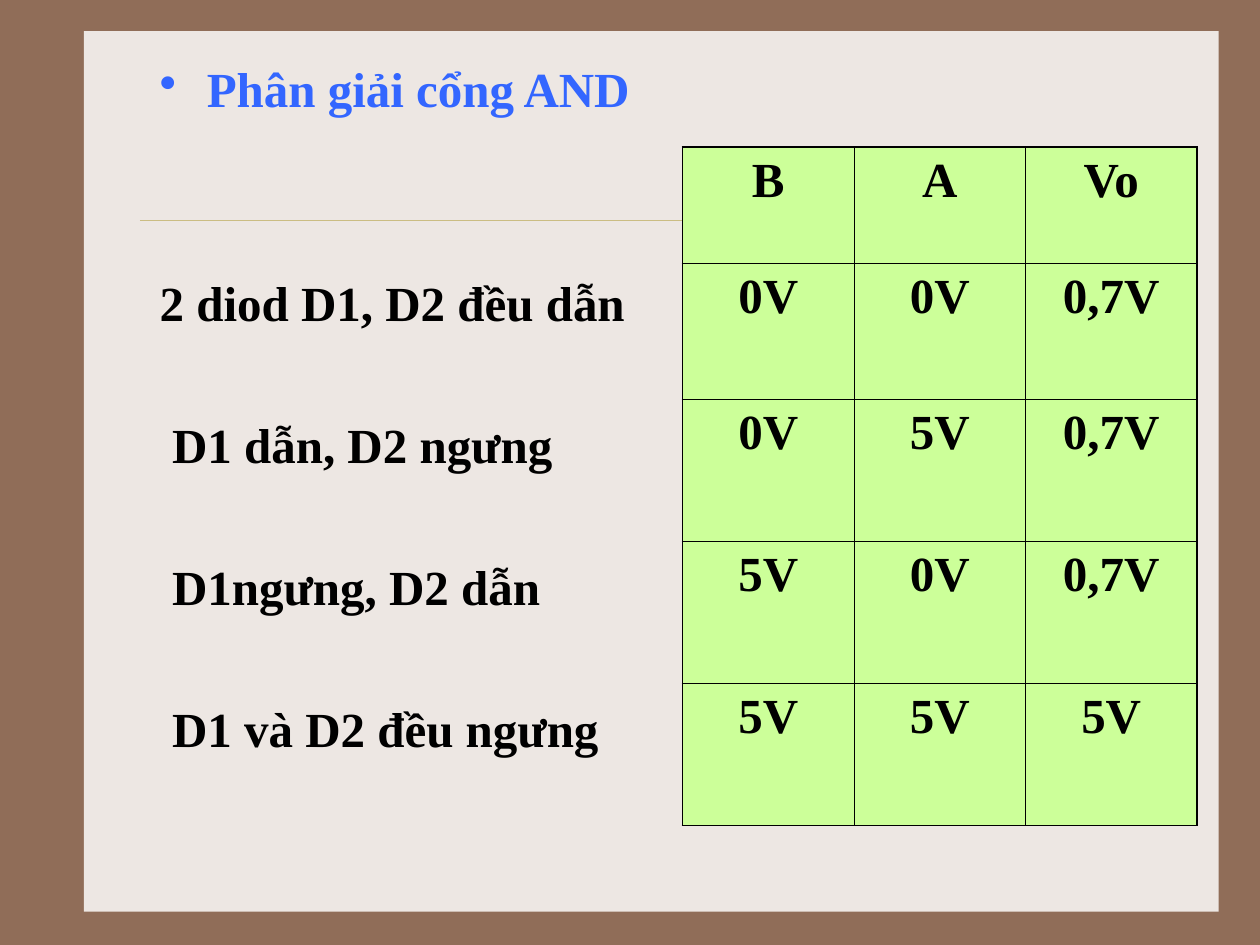
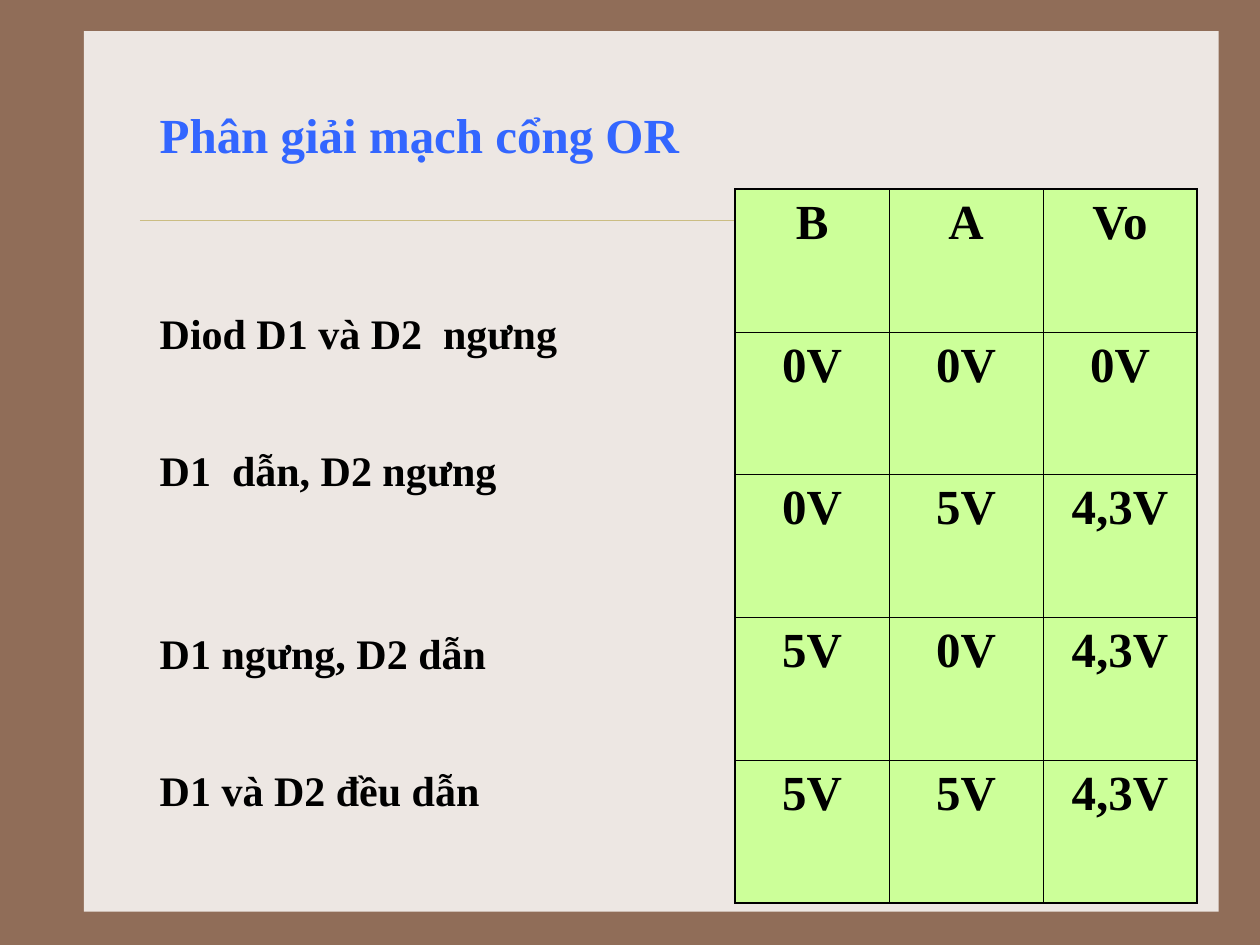
from dataclasses import dataclass

from lxml.etree import SubElement
from pptx import Presentation
from pptx.dml.color import RGBColor as Rgb
from pptx.enum.shapes import MSO_CONNECTOR as Connector, MSO_SHAPE as Shape
from pptx.enum.text import PP_ALIGN as Align
from pptx.oxml.ns import qn
from pptx.util import Cm, Pt


@dataclass(frozen=True)
class Theme:
    font: str = "Times New Roman"
    backdrop: str = "906D58"
    panel: str = "EDE7E3"
    rule: str = "CBBD83"
    title: str = "3366FF"
    ink: str = "000000"
    cell: str = "CCFF99"
    title_size: int = 28
    cell_size: int = 28
    leading: float = 1.2
    rule_width: float = 0.25
    outer_border: float = 1.08
    inner_border: float = 0.45
    pad_x: float = 0.25
    pad_y: float = 0.13


@dataclass(frozen=True)
class Box:
    """A region of the slide, in centimetres."""
    left: float
    top: float
    width: float
    height: float

    def place(self):
        return [Cm(n) for n in (self.left, self.top, self.width, self.height)]


THEME = Theme()
PANEL = Box(1.69, 0.63, 22.88, 17.75)

# Each note is (wording, points of space above it, left indent in cm).
GATES = [
    {
        "title": "Phân giải cổng AND",
        "bullet": True,
        "notes_box": Box(2.97, 1.06, 10.37, 15.24),
        "title_drop": 0,
        "note_size": 28,
        "notes": [
            ("2 diod D1, D2 đều dẫn", 88.3, 0),
            ("D1 dẫn, D2 ngưng", 47.5, 0.25),
            ("D1ngưng, D2 dẫn", 47.5, 0.25),
            ("D1 và D2 đều ngưng", 47.5, 0.25),
        ],
        "table_box": Box(13.76, 2.97, 10.37, 13.67),
        "row_heights": [2.33, 2.76, 2.86, 2.86, 2.86],
        "outputs": ["0,7V", "0,7V", "0,7V", "5V"],
    },
    {
        "title": "Phân giải mạch cổng OR",
        "bullet": False,
        "notes_box": Box(2.97, 0.85, 21.59, 16.51),
        "title_drop": 1.12,
        "note_size": 24,
        "notes": [
            ("Diod D1 và D2  ngưng", 82.4, 0),
            ("D1  dẫn, D2 ngưng", 49.6, 0),
            ("D1 ngưng, D2 dẫn", 75.8, 0),
            ("D1 và D2 đều dẫn", 49.6, 0),
        ],
        "table_box": Box(14.82, 3.81, 9.31, 14.4),
        "row_heights": [2.88] * 5,
        "outputs": ["0V", "4,3V", "4,3V", "4,3V"],
    },
]
INPUTS = [("0V", "0V"), ("0V", "5V"), ("5V", "0V"), ("5V", "5V")]


def apply(target, formats):
    for name, value in formats.items():
        setattr(target, name, value)


def style_font(font, size, color):
    apply(font, {"name": THEME.font, "size": Pt(size), "bold": True})
    font.color.rgb = Rgb.from_string(color)


def add_frame(slide, box):
    """Draw the pale panel and the hairline that crosses it."""
    panel = slide.shapes.add_shape(Shape.RECTANGLE, *box.place())
    panel.shadow.inherit = False
    panel.fill.solid()
    panel.fill.fore_color.rgb = Rgb.from_string(THEME.panel)
    panel.line.fill.background()

    y = Cm(box.top + 3.81)
    rule = slide.shapes.add_connector(
        Connector.STRAIGHT, Cm(box.left + 1.13), y, Cm(box.left + box.width - 0.44), y)
    rule.line.width = Pt(THEME.rule_width)
    rule.line.color.rgb = Rgb.from_string(THEME.rule)
    SubElement(rule._element.spPr, qn("a:effectLst"))


def set_indent(paragraph, left, first=0):
    properties = paragraph._p.get_or_add_pPr()
    properties.set("marL", str(Cm(left)))
    properties.set("indent", str(Cm(first)))
    return properties


def write_line(paragraph, wording, size, color):
    paragraph.text = wording
    paragraph.line_spacing = Pt(size * THEME.leading)
    style_font(paragraph.font, size, color)
    style_font(paragraph.runs[0].font, size, color)


def add_notes(slide, box, gate):
    """Write the title and, below it, the diode state for each table row."""
    frame = slide.shapes.add_textbox(*box.place()).text_frame
    apply(frame, {
        "word_wrap": True,
        "margin_left": Cm(THEME.pad_x),
        "margin_right": Cm(THEME.pad_x),
        "margin_top": Cm(THEME.pad_y + gate["title_drop"]),
        "margin_bottom": Cm(THEME.pad_y),
    })
    title = frame.paragraphs[0]
    if gate["bullet"]:
        properties = set_indent(title, 0.95, -0.95)
        SubElement(properties, qn("a:buChar"), char="•")
    write_line(title, gate["title"], THEME.title_size, THEME.title)

    for wording, gap, indent in gate["notes"]:
        note = frame.add_paragraph()
        set_indent(note, indent)
        write_line(note, wording, gate["note_size"], THEME.ink)
        note.space_before = Pt(gap)


def add_borders(cell, outer_sides):
    properties = cell._tc.get_or_add_tcPr()
    for side, is_outer in outer_sides.items():
        width = THEME.outer_border if is_outer else THEME.inner_border
        border = SubElement(properties, qn(f"a:ln{side}"), w=str(Pt(width)))
        fill = SubElement(border, qn("a:solidFill"))
        SubElement(fill, qn("a:srgbClr"), val=THEME.ink)


def add_truth_table(slide, box, row_heights, outputs):
    rows = [("B", "A", "Vo")]
    rows += [(*pair, output) for pair, output in zip(INPUTS, outputs)]
    last_row, last_column = len(rows) - 1, len(rows[0]) - 1
    table = slide.shapes.add_table(len(rows), len(rows[0]), *box.place()).table
    apply(table, {"first_row": False, "horz_banding": False})
    for column in table.columns:
        column.width = Cm(box.width / len(rows[0]))
    for row, height in zip(table.rows, row_heights):
        row.height = Cm(height)

    for r, values in enumerate(rows):
        for c, value in enumerate(values):
            cell = table.cell(r, c)
            add_borders(cell, {"L": c == 0, "R": c == last_column,
                               "T": r == 0, "B": r == last_row})
            cell.fill.solid()
            cell.fill.fore_color.rgb = Rgb.from_string(THEME.cell)
            apply(cell, {"margin_left": Cm(THEME.pad_x), "margin_right": Cm(THEME.pad_x),
                         "margin_top": Cm(THEME.pad_y), "margin_bottom": Cm(THEME.pad_y)})
            paragraph = cell.text_frame.paragraphs[0]
            paragraph.text = value
            paragraph.alignment = Align.CENTER
            style_font(paragraph.runs[0].font, THEME.cell_size, THEME.ink)


def add_gate_slide(deck, gate):
    slide = deck.slides.add_slide(deck.slide_layouts[6])
    add_frame(slide, PANEL)
    add_notes(slide, gate["notes_box"], gate)
    add_truth_table(slide, gate["table_box"], gate["row_heights"], gate["outputs"])


def main():
    deck = Presentation()
    apply(deck, {"slide_width": Cm(25.4), "slide_height": Cm(19.05)})
    backdrop = deck.slide_master.background.fill
    backdrop.solid()
    backdrop.fore_color.rgb = Rgb.from_string(THEME.backdrop)
    for gate in GATES:
        add_gate_slide(deck, gate)
    deck.save("out.pptx")


if __name__ == "__main__":
    main()
